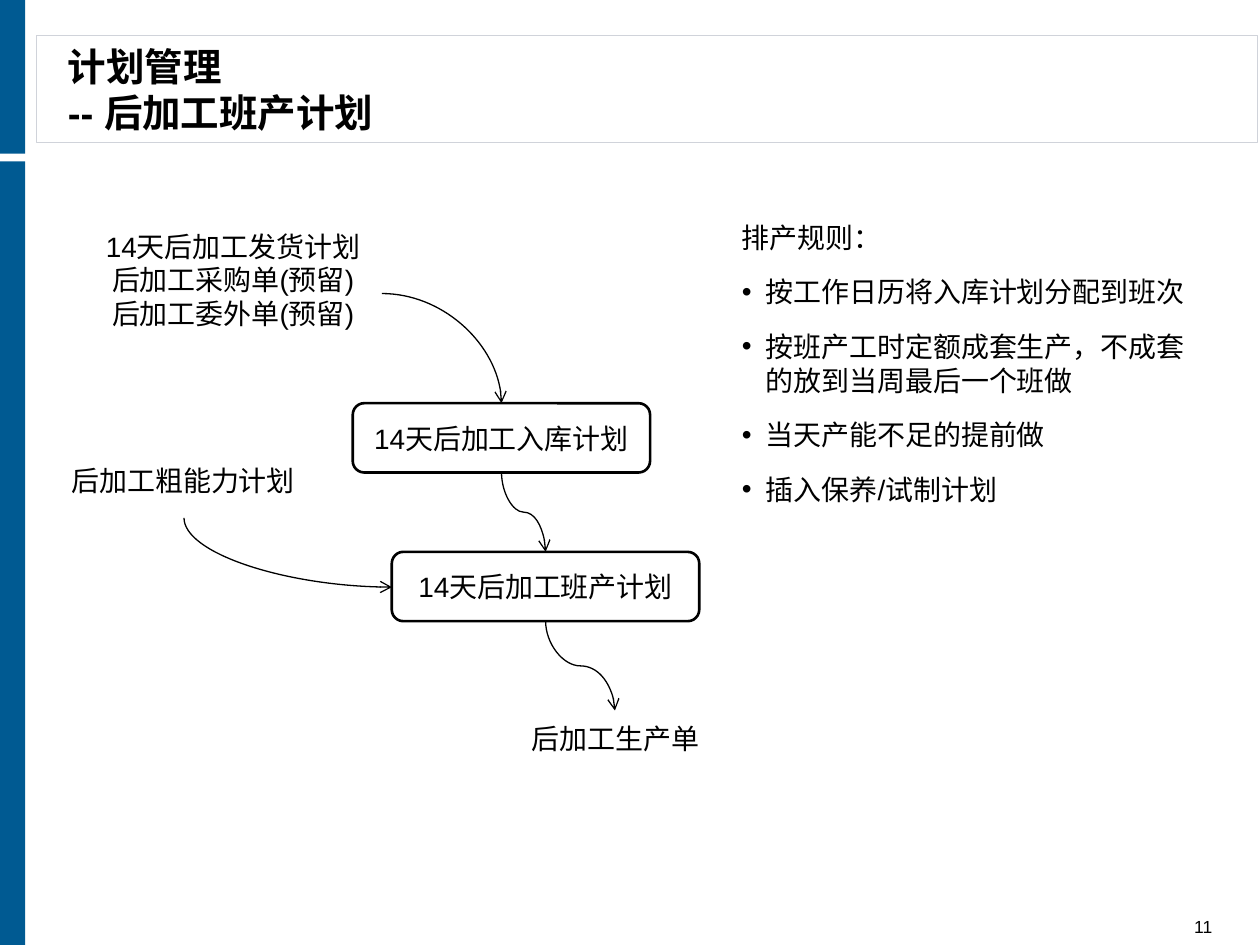
import pptx
import pptx.dml.color
import pptx.enum.shapes
import pptx.enum.text
import pptx.oxml
import pptx.oxml.ns
import pptx.util
from pptx.util import Inches

SHAPES = pptx.enum.shapes.MSO_SHAPE
ALIGN = pptx.enum.text.PP_ALIGN
ANCHOR = pptx.enum.text.MSO_ANCHOR


def colour(value):
    return pptx.dml.color.RGBColor.from_string(value)


def add_element(parent, tag, **attributes):
    element = pptx.oxml.parse_xml(f"<a:{tag} {pptx.oxml.ns.nsdecls('a')}/>")
    for name, value in attributes.items():
        element.set(name, value)
    parent.append(element)


def apply_formats(target, formats):
    for name, value in formats.items():
        setattr(target, name, value)


class Painter:
    font = "Arial"
    ink = "000000"
    paper = "FFFFFF"
    accent = "005A92"
    border = "D0D3DA"

    def __init__(self, page):
        self.page = page

    def fill_text(self, box, lines, size=16, bold=False, anchor=ANCHOR.MIDDLE, inset=0, **layout):
        frame = box.text_frame
        apply_formats(frame, {
            "word_wrap": True, "vertical_anchor": anchor,
            "margin_left": Inches(0.1), "margin_right": Inches(0.1),
            "margin_top": Inches(inset), "margin_bottom": Inches(inset),
        })
        for index, line in enumerate(lines):
            para = frame.add_paragraph() if index else frame.paragraphs[0]
            para.text = line
            apply_formats(para, layout)
            for span in para.runs:
                apply_formats(span.font, {
                    "name": self.font, "size": pptx.util.Pt(size), "bold": bold})
                span.font.color.rgb = colour(self.ink)
        return frame

    def text(self, place, lines, **formats):
        box = self.page.shapes.add_textbox(*map(Inches, place))
        return self.fill_text(box, lines, **formats)

    def shape(self, kind, place, fill, line=None, width=0.75):
        shape = self.page.shapes.add_shape(kind, *map(Inches, place))
        shape.shadow.inherit = False
        shape.fill.solid()
        shape.fill.fore_color.rgb = colour(fill)
        if line:
            shape.line.color.rgb = colour(line)
            shape.line.width = pptx.util.Pt(width)
        else:
            shape.line.fill.background()
        return shape

    def plan(self, place, label):
        box = self.shape(SHAPES.ROUNDED_RECTANGLE, place, self.paper, self.ink, 1.5)
        self.fill_text(box, [label], alignment=ALIGN.CENTER)

    def document(self, place, *lines):
        box = self.shape(SHAPES.FLOWCHART_DOCUMENT, place, self.paper)
        self.fill_text(box, lines, alignment=ALIGN.CENTER)

    def curve(self, start, end, preset, downward=True):
        left, top = start
        width, height = end[0] - left, end[1] - top
        if downward:
            left += (width - height) / 2
            top += (height - width) / 2
            width, height = height, width
        arrow = self.page.shapes.add_connector(
            pptx.enum.shapes.MSO_CONNECTOR.CURVE,
            *map(Inches, (left, top, left + width, top + height)))
        arrow.line.color.rgb = colour(self.ink)
        arrow.line.width = pptx.util.Pt(0.75)
        properties = arrow._element.spPr
        properties.find(pptx.oxml.ns.qn("a:prstGeom")).set("prst", preset)
        if downward:
            frame = properties.find(pptx.oxml.ns.qn("a:xfrm"))
            frame.set("rot", "16200000")
            frame.set("flipH", "1")
        add_element(properties.find(pptx.oxml.ns.qn("a:ln")), "tailEnd", type="arrow")
        add_element(properties, "effectLst")

    def rules(self, place, heading, items):
        gap = pptx.util.Pt(6)
        frame = self.text(place, [heading, *items], anchor=ANCHOR.TOP, inset=0.05,
                          space_before=gap, space_after=gap)
        indent = Inches(0.19)
        for para in frame.paragraphs[1:]:
            para.level = 1
            properties = para._p.get_or_add_pPr()
            properties.set("marL", str(indent))
            properties.set("indent", str(-indent))
            add_element(properties, "buFont", typeface=self.font)
            add_element(properties, "buChar", char="•")


def main():
    deck = pptx.Presentation()
    deck.slide_width, deck.slide_height = Inches(10), Inches(7.5)
    painter = Painter(deck.slides.add_slide(deck.slide_layouts[6]))

    painter.shape(SHAPES.RECTANGLE, (0.29, 0.28, 9.69, 0.85), painter.paper, painter.border)
    for top, height in ((1.28, 6.22), (0, 1.22)):
        painter.shape(SHAPES.RECTANGLE, (0, top, 0.2, height), painter.accent)
    painter.text((0.44, 0.31, 6.3, 0.79), ["计划管理\v-- 后加工班产计划"], size=22, bold=True)
    painter.text((8.78, 7.26, 0.94, 0.18), ["11"], size=10,
                 anchor=ANCHOR.BOTTOM, alignment=ALIGN.RIGHT)

    painter.plan((2.8, 3.2, 2.36, 0.55), "14天后加工入库计划")
    painter.document((0.67, 1.78, 2.36, 1.1),
                     "14天后加工发货计划", "后加工采购单(预留)", "后加工委外单(预留)")
    painter.curve((3.03, 2.33), (3.98, 3.2), "curvedConnector2", downward=False)
    painter.plan((3.11, 4.38, 2.44, 0.55), "14天后加工班产计划")
    painter.curve((3.98, 3.75), (4.33, 4.38), "curvedConnector3")
    painter.curve((4.33, 4.93), (4.88, 5.64), "curvedConnector3")
    painter.document((3.82, 5.64, 2.13, 0.55), "后加工生产单")
    painter.rules((5.79, 1.7, 3.86, 2.39), "排产规则：", [
        "按工作日历将入库计划分配到班次",
        "按班产工时定额成套生产，不成套的放到当周最后一个班做",
        "当天产能不足的提前做",
        "插入保养/试制计划",
    ])
    painter.curve((1.46, 4.11), (3.11, 4.66), "curvedConnector2")
    painter.document((0.43, 3.59, 2.05, 0.55), "后加工粗能力计划")

    deck.save("out.pptx")


if __name__ == "__main__":
    main()
